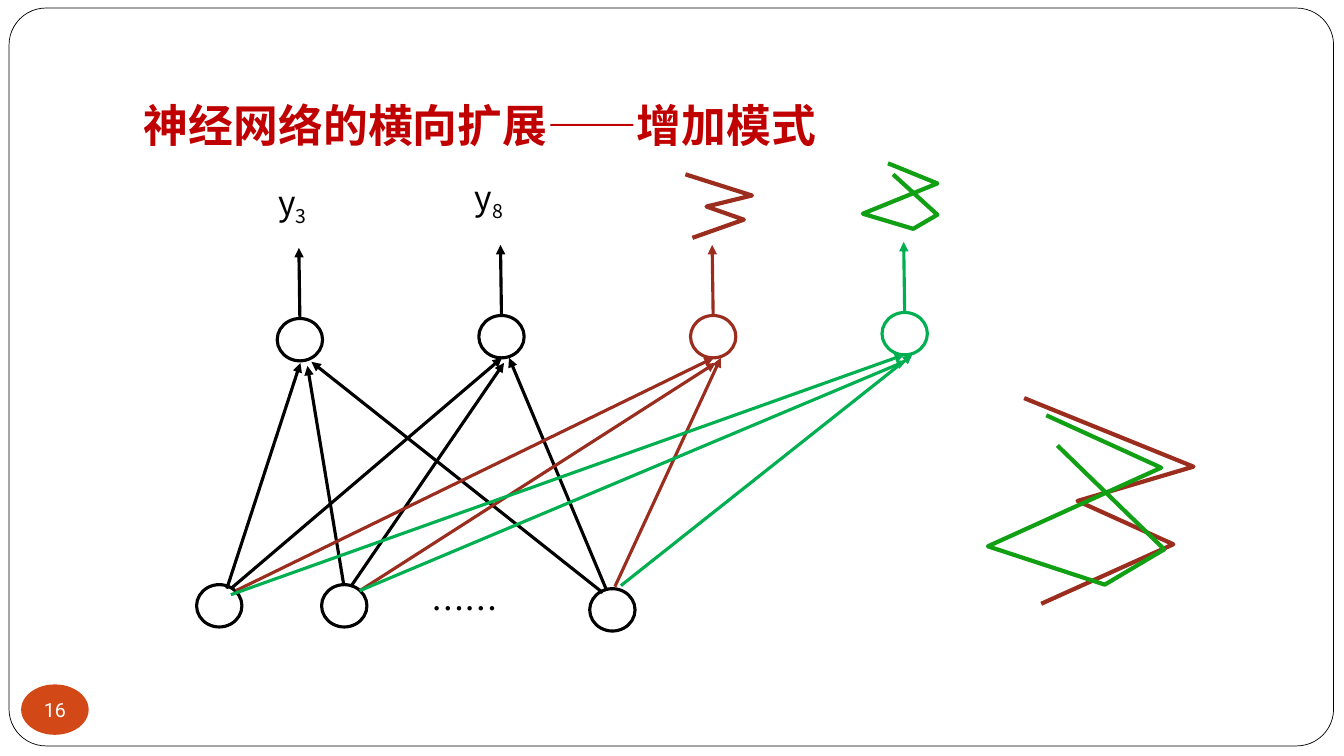
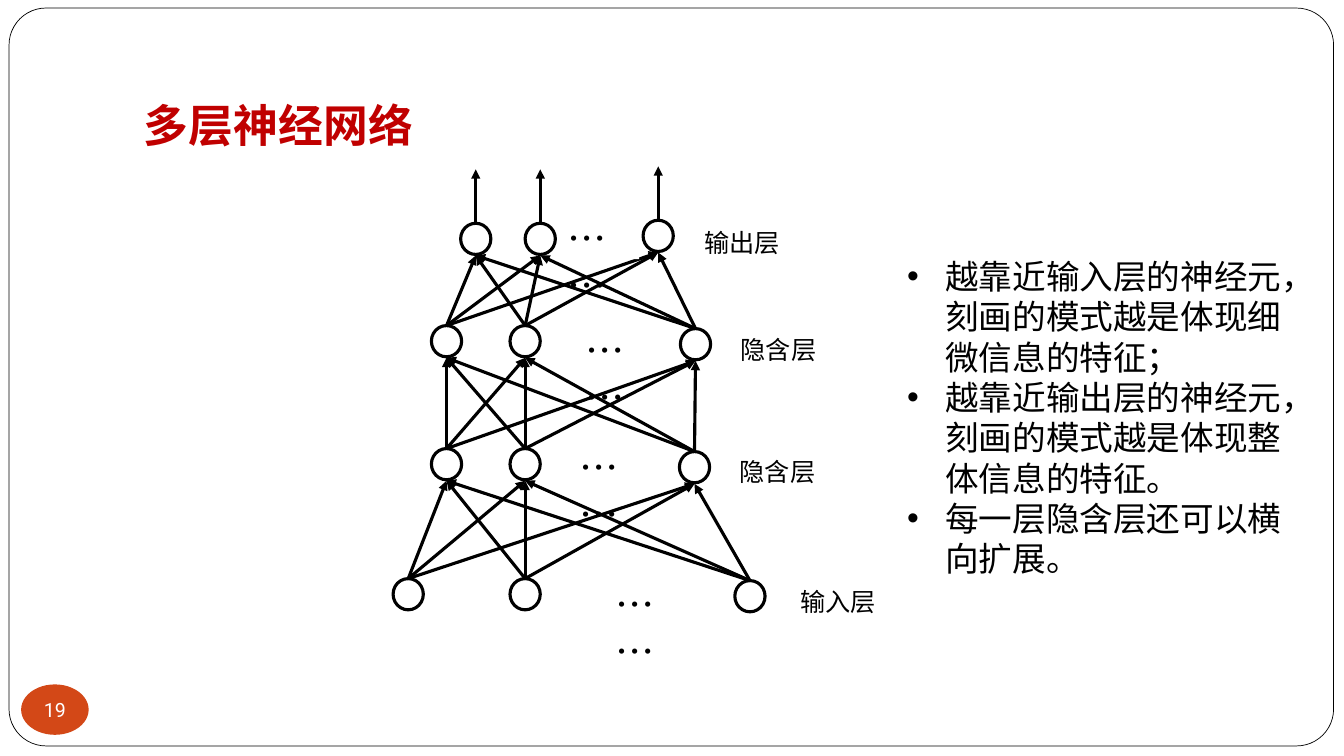
from itertools import product

from pptx import Presentation
from pptx.dml.color import RGBColor
from pptx.enum import shapes, text
from pptx.oxml import ns, xmlchemy
from pptx import util as u

BLACK = RGBColor(0x00, 0x00, 0x00)
WHITE = RGBColor(0xFF, 0xFF, 0xFF)
TITLE_RED = RGBColor(0xC0, 0x00, 0x00)
BRICK = RGBColor(0x9B, 0x2D, 0x1F)
GREEN = RGBColor(0x00, 0xB0, 0x50)
LEAF = RGBColor(0x11, 0x9F, 0x14)
BADGE = RGBColor(0xD3, 0x48, 0x17)

SERIF, HAN, SANS = "Times New Roman", "Noto Sans CJK SC", "Roboto"
SLIDE_WIDTH, SLIDE_HEIGHT = 133.33, 75
LINE_PITCH = 1.2


def cells(*counts):
    """Lengths on the layout grid, which has ten columns or rows to the inch."""
    return [u.Inches(count / 10) for count in counts]


def add_child(parent, tag, **attributes):
    child = xmlchemy.OxmlElement(tag)
    for name, value in attributes.items():
        child.set(name, value)
    parent.append(child)
    return child


# Shapes and lines
def paint(shape, fill=None, line=None, weight=2.25):
    shape.shadow.inherit = False
    if fill is None:
        shape.fill.background()
    else:
        shape.fill.solid()
        shape.fill.fore_color.rgb = fill
    if line is None:
        shape.line.fill.background()
    else:
        shape.line.color.rgb = line
        shape.line.width = u.Pt(weight)


def add_neuron(page, center, size, color=BLACK):
    (x, y), (width, height) = center, size
    circle = page.shapes.add_shape(
        shapes.MSO_SHAPE.OVAL,
        *cells(x - width / 2, y - height / 2, width, height))
    paint(circle, line=color)


def add_arrow(page, start, end, color=BLACK):
    arrow = page.shapes.add_connector(
        shapes.MSO_CONNECTOR.STRAIGHT, *cells(*start, *end))
    arrow.line.color.rgb = color
    arrow.line.width = u.Pt(2.25)
    add_child(arrow.line._get_or_add_ln(), "a:tailEnd", type="triangle")
    add_child(arrow._element.spPr, "a:effectLst")


def add_stroke(page, points, color, fill=None):
    first, *rest = [cells(*point) for point in points]
    builder = page.shapes.build_freeform(*first)
    builder.add_line_segments(rest, close=False)
    paint(builder.convert_to_shape(), fill, color, 3)


# Text
def style(para, size, color, face, bold=False, pitch=LINE_PITCH):
    if pitch:
        para.line_spacing = u.Pt(round(size * pitch, 1))
    para.font.size = u.Pt(size)
    para.font.bold = bold
    para.font.color.rgb = color
    para.font.name = face
    defaults = para._p.pPr.find(ns.qn("a:defRPr"))
    add_child(defaults, "a:ea", typeface=HAN)
    return defaults


def add_text(page, place, lines, size, face=HAN, color=BLACK, bold=False):
    box = page.shapes.add_textbox(*cells(*place))
    frame = box.text_frame
    frame.word_wrap = True
    frame.margin_top = u.Inches(0.08)
    for index, line in enumerate(lines):
        para = frame.paragraphs[0] if index == 0 else frame.add_paragraph()
        para.add_run().text = line
        style(para, size, color, face, bold)
    return box


def add_label(page, place, words, size, subscript=""):
    box = add_text(page, place, [words], size)
    paint(box, WHITE)
    if subscript:
        span = box.text_frame.paragraphs[0].add_run()
        span.text = subscript
        span._r.get_or_add_rPr().set("baseline", "-25000")


def add_bullets(page, place, lines):
    box = add_text(page, place, lines, 24, SERIF)
    for para in box.text_frame.paragraphs:
        settings = para._p.pPr
        indent = u.Inches(0.38)
        settings.set("marL", str(indent))
        settings.set("indent", str(-indent))
        defaults = settings.find(ns.qn("a:defRPr"))
        defaults.addprevious(add_child(settings, "a:buFont", typeface="Arial"))
        defaults.addprevious(add_child(settings, "a:buChar", char="•"))


# Frame, title and page number shared by the slides
def add_page(deck, title, number):
    page = deck.slides.add_slide(deck.slide_layouts[6])
    frame = page.shapes.add_shape(
        shapes.MSO_SHAPE.ROUNDED_RECTANGLE, *cells(0.9, 0.8, 131.4, 73.2))
    frame.adjustments[0] = 0.05
    paint(frame, WHITE, BLACK, 0.5)

    heading = add_text(page, (13.3, 3, 113.3, 12.5), [title], 32,
                       SERIF, TITLE_RED, True).text_frame
    heading.vertical_anchor = text.MSO_ANCHOR.BOTTOM
    heading.margin_bottom = u.Inches(0.05)

    badge = page.shapes.add_shape(
        shapes.MSO_SHAPE.OVAL, *cells(2.1, 67.9, 6.7, 5))
    paint(badge, BADGE)
    inside = badge.text_frame
    inside.margin_left = inside.margin_right = 0
    inside.margin_top = inside.margin_bottom = 0
    inside.word_wrap = False
    inside.vertical_anchor = text.MSO_ANCHOR.MIDDLE
    para = inside.paragraphs[0]
    para.alignment = text.PP_ALIGN.CENTER
    para.add_run().text = str(number)
    style(para, 14, WHITE, SANS, pitch=None)
    return page


def build_widening(deck):
    page = add_page(deck, "神经网络的横向扩展——增加模式", 16)
    size = (4.5, 4.2)

    # Labels
    add_label(page, (26.6, 17.8, 9.1, 6.8), "y", 24, "3")
    add_label(page, (46.1, 17.3, 9, 6.8), "y", 24, "8")
    add_label(page, (41.8, 57.5, 12.6, 6.8), "……", 24)

    # Input neurons
    for center in ((21.75, 60.1), (34.15, 60.1), (60.75, 60.5)):
        add_neuron(page, center, size)

    # Output neurons, each with its color and the arrows that reach it
    outputs = (
        ((29.75, 33.7), BLACK, (((22.5, 58.4), (29.8, 36)),
                                ((34.1, 58), (30.5, 36.3)),
                                ((59.8, 58.8), (30.9, 35.9)))),
        ((49.75, 33.4), BLACK, (((22.9, 58.4), (49.8, 35.5)),
                                ((34.8, 58.2), (50, 36)),
                                ((60.2, 58.6), (50.5, 35.5)))),
        ((70.75, 33.4), BRICK, (((23.4, 58.6), (70.8, 35.5)),
                                ((35.7, 58.6), (71, 36)),
                                ((61, 58.2), (71.5, 35.5)))),
        ((89.75, 33.1), GREEN, (((22.9, 59), (89.7, 35.2)),
                                ((35.7, 58.6), (89.9, 35.8)),
                                ((61.6, 58.1), (90.5, 35.2)))),
    )
    for (x, y), color, weights in outputs:
        add_neuron(page, (x, y), size, color)
        add_arrow(page, (x, y - 2.1), (x - 0.1, y - 9.1), color)
        for start, end in weights:
            add_arrow(page, start, end, color)

    # Handwritten patterns, small above the outputs and large at the right
    add_stroke(page, ((68, 17.3), (74.6, 19.4), (70.1, 20.5),
                      (73.8, 21.8), (68.7, 23.6)), BRICK)
    add_stroke(page, ((88.1, 16.2), (93, 18.2), (85.6, 21.2), (90.6, 22.7),
                      (93, 21.3), (88.6, 17.3)), LEAF)
    add_stroke(page, ((101.6, 39.5), (118.4, 46.3), (106.9, 49.7),
                      (116.4, 54), (103.3, 59.9)), BRICK, WHITE)
    add_stroke(page, ((103.8, 41.2), (115.2, 46.4), (98, 54.2), (109.6, 58),
                      (115.5, 54.5), (104.9, 44.2)), LEAF)


def build_layers(deck):
    page = add_page(deck, "多层神经网络", 19)
    width, height = 3, 3.1

    # Layers from bottom to top: name, neuron centers, label and dots places
    layers = (
        ("输入层", ((40.5, 58.95), (52.1, 58.95), (74.4, 59.15)),
         (78.4, 57.4, 11.1, 5.2), (60.1, 56.8, 9.2, 5.2)),
        ("隐含层", ((44.3, 46.05), (52.1, 46.05), (68.9, 46.35)),
         (72.4, 44.5, 10.9, 5.2), (56.5, 43.2, 7.5, 5.2)),
        ("隐含层", ((44.3, 33.85), (52.1, 33.85), (69, 34.15)),
         (72.5, 32.4, 10.9, 5.2), (57.1, 31.6, 7.5, 5.2)),
        ("输出层", ((47.2, 23.7), (53.6, 23.7), (65.3, 23.4)),
         (68.9, 21.7, 12.2, 5.2), (55.3, 20.5, 8.1, 5.2)),
    )

    # Full connections between neighboring layers
    for lower, upper in zip(layers, layers[1:]):
        for (x1, y1), (x2, y2) in product(lower[1], upper[1]):
            add_arrow(page, (x1, y1 - height / 2), (x2, y2 + 1.65))

    # Neurons, labels and dots
    for name, centers, label_place, dots_place in layers:
        add_label(page, label_place, name, 18)
        add_label(page, dots_place, "……", 28)
        for center in centers:
            add_neuron(page, center, (width, height))

    # Output arrows
    for x, y in layers[-1][1]:
        add_arrow(page, (x, y - height / 2), (x, y - 6.9))

    add_bullets(page, (89, 24.6, 42.3, 33.3), (
        "越靠近输入层的神经元，刻画的模式越是体现细微信息的特征；",
        "越靠近输出层的神经元，刻画的模式越是体现整体信息的特征。",
        "每一层隐含层还可以横向扩展。"))


def main():
    deck = Presentation()
    deck.slide_width, deck.slide_height = cells(SLIDE_WIDTH, SLIDE_HEIGHT)
    build_widening(deck)
    build_layers(deck)
    deck.save("out.pptx")


if __name__ == "__main__":
    main()
